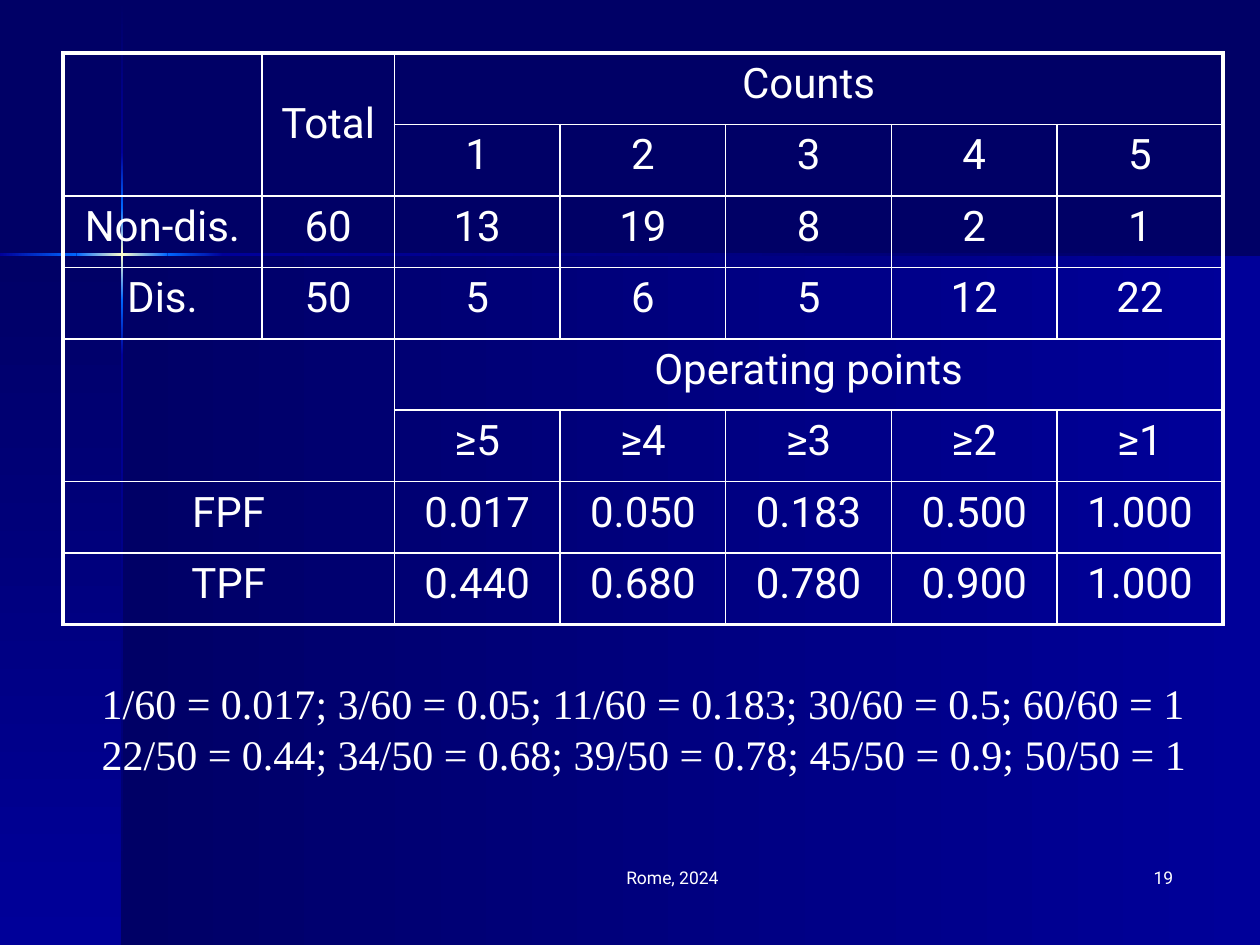
from dataclasses import dataclass
from itertools import pairwise

import lxml.etree
import pptx
import pptx.dml.color
import pptx.enum.shapes
import pptx.enum.text
import pptx.oxml
import pptx.oxml.ns
import pptx.util
from pptx.util import Cm, Pt

ALIGN = pptx.enum.text.PP_ALIGN
ANCHOR = pptx.enum.text.MSO_ANCHOR


@dataclass(frozen=True)
class Theme:
    night: str = "000066"
    navy: str = "000099"
    azure: str = "0066FF"
    spark: str = "FFFFCC"
    text: str = "FFFFFF"
    sans: str = "Roboto"
    serif: str = "Times New Roman"
    body: float = 24
    footer: float = 10
    inner_rule: float = 1
    outer_rule: float = 2.25


@dataclass(frozen=True)
class Box:
    """Position and size in centimetres."""
    left: float
    top: float
    width: float
    height: float

    def lengths(self) -> tuple:
        return Cm(self.left), Cm(self.top), Cm(self.width), Cm(self.height)


@dataclass(frozen=True)
class Note:
    box: Box
    lines: tuple[str, ...]
    font: str
    size: float
    align: ALIGN


@dataclass(frozen=True)
class Span:
    row: int
    column: int
    rows: int
    columns: int


THEME = Theme()
WIDTH, HEIGHT = 25.4, 19.05
CROSS_X, CROSS_Y, RAY = 2.46, 5.13, 0.05
DOWN, ACROSS = 90, 0

# Ends of the ray segments, and the colours each segment runs through
VERTICAL_ENDS = (0, 3.07, 4.19, 6.05, 7.16, HEIGHT)
HORIZONTAL_ENDS = (0, 1.54, 3.38, 4.5, WIDTH)
RAY_COLORS = (
    (THEME.night, THEME.navy),
    (THEME.navy, THEME.azure),
    (THEME.azure, THEME.spark, THEME.azure),
    (THEME.azure, THEME.navy),
    (THEME.navy, THEME.night),
)

TABLE_LEFT, TABLE_TOP = 1.27, 1.07
COLUMN_WIDTHS = (4.01, 2.67) + (3.34,) * 5
ROW_HEIGHT = 1.44
ROWS = (
    ("", "Total", "Counts", "", "", "", ""),
    ("", "", "1", "2", "3", "4", "5"),
    ("Non-dis.", "60", "13", "19", "8", "2", "1"),
    ("Dis.", "50", "5", "6", "5", "12", "22"),
    ("", "", "Operating points", "", "", "", ""),
    ("", "", "≥5", "≥4", "≥3", "≥2", "≥1"),
    ("FPF", "", "0.017", "0.050", "0.183", "0.500", "1.000"),
    ("TPF", "", "0.440", "0.680", "0.780", "0.900", "1.000"),
)
SPANS = (
    Span(0, 0, 2, 1), Span(0, 1, 2, 1), Span(0, 2, 1, 5),
    Span(4, 0, 2, 2), Span(4, 2, 1, 5),
    Span(6, 0, 1, 2), Span(7, 0, 1, 2),
)

NOTES = (
    Note(Box(9.53, 17.35, 8.05, 1.27), ("Rome, 2024",),
         THEME.sans, THEME.footer, ALIGN.CENTER),
    Note(Box(18.62, 17.35, 5.28, 1.27), ("19",),
         THEME.sans, THEME.footer, ALIGN.RIGHT),
    Note(Box(1.8, 13.54, 22.86, 2.31),
         ("1/60 = 0.017; 3/60 = 0.05; 11/60 = 0.183; 30/60 = 0.5; 60/60 = 1",
          "22/50 = 0.44; 34/50 = 0.68; 39/50 = 0.78; 45/50 = 0.9; 50/50 = 1"),
         THEME.serif, THEME.body, ALIGN.LEFT),
)


def rgb(color: str) -> pptx.dml.color.RGBColor:
    return pptx.dml.color.RGBColor.from_string(color)


def add_gradient_panel(slide, box: Box, colors: tuple[str, ...], angle: int) -> None:
    panel = slide.shapes.add_shape(
        pptx.enum.shapes.MSO_SHAPE.RECTANGLE, *box.lengths())
    panel.shadow.inherit = False
    panel.line.fill.background()
    panel.fill.gradient()
    gradient = panel.fill._fill._gradFill
    gradient.clear()
    step = 100000 // (len(colors) - 1)
    stops = "".join(f'<a:gs pos="{i * step}"><a:srgbClr val="{color}"/></a:gs>'
                    for i, color in enumerate(colors))
    namespace = pptx.oxml.ns.nsdecls("a")
    gradient.append(pptx.oxml.parse_xml(f"<a:gsLst {namespace}>{stops}</a:gsLst>"))
    gradient.append(pptx.oxml.parse_xml(
        f'<a:lin {namespace} ang="{angle * 60000}" scaled="0"/>'))


def add_backdrop(slide) -> None:
    slide.background.fill.solid()
    slide.background.fill.fore_color.rgb = rgb(THEME.night)
    shade = (THEME.night, THEME.navy)
    depth = HEIGHT - CROSS_Y
    add_gradient_panel(slide, Box(CROSS_X, CROSS_Y, WIDTH - CROSS_X, depth), shade, ACROSS)
    add_gradient_panel(slide, Box(0, CROSS_Y, CROSS_X, depth), shade, DOWN)
    # Glowing rays that cross at the corner of the panels
    for (start, end), colors in zip(pairwise(VERTICAL_ENDS), RAY_COLORS):
        add_gradient_panel(
            slide, Box(CROSS_X - RAY / 2, start, RAY, end - start), colors, DOWN)
    for (start, end), colors in zip(pairwise(HORIZONTAL_ENDS), RAY_COLORS[1:]):
        add_gradient_panel(
            slide, Box(start, CROSS_Y - RAY / 2, end - start, RAY), colors, ACROSS)


def add_run(paragraph, text: str, font: str, size: float) -> None:
    run = paragraph.add_run()
    run.text = text
    run.font.name = font
    run.font.size = Pt(size)
    run.font.color.rgb = rgb(THEME.text)


def set_borders(cell, outer_sides: dict[str, bool]) -> None:
    properties = cell._tc.get_or_add_tcPr()
    for position, (side, is_outer) in enumerate(outer_sides.items()):
        weight = Pt(THEME.outer_rule if is_outer else THEME.inner_rule)
        properties.insert(position, pptx.oxml.parse_xml(
            f'<a:ln{side} {pptx.oxml.ns.nsdecls("a")} w="{weight}"><a:solidFill>'
            f'<a:srgbClr val="{THEME.text}"/></a:solidFill></a:ln{side}>'))


def add_counts_table(slide) -> None:
    row_count, column_count = len(ROWS), len(COLUMN_WIDTHS)
    box = Box(TABLE_LEFT, TABLE_TOP, sum(COLUMN_WIDTHS), ROW_HEIGHT * row_count)
    table = slide.shapes.add_table(row_count, column_count, *box.lengths()).table
    table.first_row = table.horz_banding = False
    for column, width in zip(table.columns, COLUMN_WIDTHS):
        column.width = Cm(width)
    for row in table.rows:
        row.height = Cm(ROW_HEIGHT)
    for span in SPANS:
        table.cell(span.row, span.column).merge(
            table.cell(span.row + span.rows - 1, span.column + span.columns - 1))
    for r, labels in enumerate(ROWS):
        for c, label in enumerate(labels):
            cell = table.cell(r, c)
            cell.fill.background()
            set_borders(cell, {
                "L": c == 0, "R": c + cell.span_width == column_count,
                "T": r == 0, "B": r + cell.span_height == row_count})
            if label:
                cell.vertical_anchor = ANCHOR.MIDDLE if label == "Total" else ANCHOR.TOP
                paragraph = cell.text_frame.paragraphs[0]
                paragraph.alignment = ALIGN.CENTER
                add_run(paragraph, label, THEME.sans, THEME.body)


def add_note(slide, note: Note) -> None:
    frame = slide.shapes.add_textbox(*note.box.lengths()).text_frame
    frame.word_wrap = True
    for i, line in enumerate(note.lines):
        paragraph = frame.add_paragraph() if i else frame.paragraphs[0]
        paragraph.alignment = note.align
        add_run(paragraph, line, note.font, note.size)


def main() -> None:
    deck = pptx.Presentation()
    deck.slide_width, deck.slide_height = Cm(WIDTH), Cm(HEIGHT)
    slide = deck.slides.add_slide(deck.slide_layouts.get_by_name("Blank"))
    add_backdrop(slide)
    add_counts_table(slide)
    for note in NOTES:
        add_note(slide, note)
    deck.save("out.pptx")


if __name__ == "__main__":
    main()
